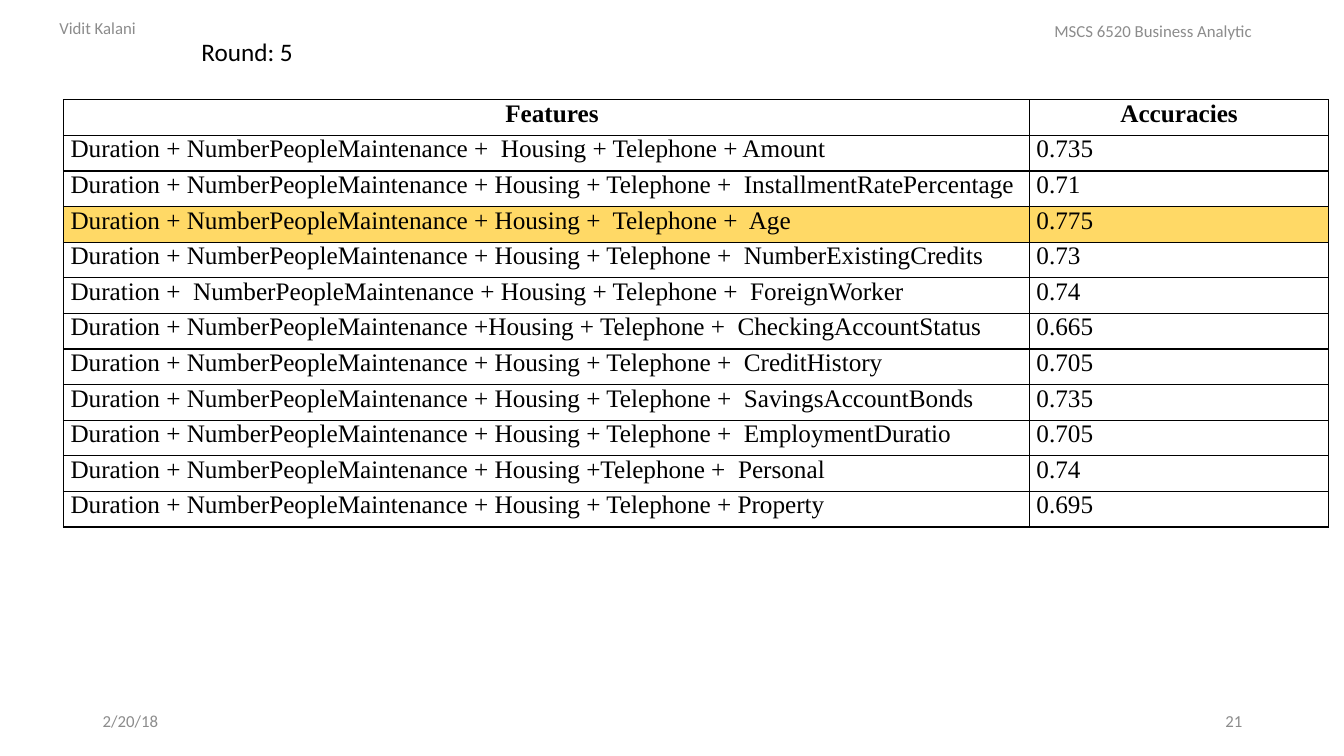
from lxml import etree
from pptx import Presentation
from pptx.dml.color import RGBColor
from pptx.enum.text import MSO_ANCHOR, PP_ALIGN
from pptx.oxml.ns import qn
from pptx.util import Inches, Pt

LEFT, CENTER, RIGHT = PP_ALIGN.LEFT, PP_ALIGN.CENTER, PP_ALIGN.RIGHT
TOP, MIDDLE = MSO_ANCHOR.TOP, MSO_ANCHOR.MIDDLE
SANS, SERIF = "Calibri", "Times New Roman"
BLACK, GRAY, GOLD = "000000", "8C8C8C", "FFD966"

WIDTH, HEIGHT = 13.33, 7.5
BAR = 0.4
FOOT = 6.95
COLS = (9.58, 2.97)
ROW = 4.24 / 12
BEST = "0.775"

ROUND = [
    ("Features", "Accuracies"),
    ("Duration + NumberPeopleMaintenance +  Housing + Telephone + Amount", "0.735"),
    ("Duration + NumberPeopleMaintenance + Housing + Telephone +  InstallmentRatePercentage", "0.71"),
    ("Duration + NumberPeopleMaintenance + Housing +  Telephone +  Age", BEST),
    ("Duration + NumberPeopleMaintenance + Housing + Telephone +  NumberExistingCredits", "0.73"),
    ("Duration +  NumberPeopleMaintenance + Housing + Telephone +  ForeignWorker", "0.74"),
    ("Duration + NumberPeopleMaintenance +Housing + Telephone +  CheckingAccountStatus", "0.665"),
    ("Duration + NumberPeopleMaintenance + Housing + Telephone +  CreditHistory", "0.705"),
    ("Duration + NumberPeopleMaintenance + Housing + Telephone +  SavingsAccountBonds", "0.735"),
    ("Duration + NumberPeopleMaintenance + Housing + Telephone +  EmploymentDuratio", "0.705"),
    ("Duration + NumberPeopleMaintenance + Housing +Telephone +  Personal", "0.74"),
    ("Duration + NumberPeopleMaintenance + Housing + Telephone + Property", "0.695"),
]


def color(code):
    return RGBColor.from_string(code)


def write(frame, text, size=18, font=SANS, ink=BLACK, bold=False, align=LEFT, after=0):
    para = frame.paragraphs[0]
    para.alignment = align
    para.space_after = Pt(after)
    run = para.add_run()
    run.text = text
    run.font.size, run.font.name, run.font.bold = Pt(size), font, bold
    run.font.color.rgb = color(ink)
    return para


def label(slide, text, left, top, width, anchor=MIDDLE, **style):
    box = slide.shapes.add_textbox(Inches(left), Inches(top), Inches(width), Inches(BAR))
    frame = box.text_frame
    frame.word_wrap = True
    frame.vertical_anchor = anchor
    write(frame, text, **style)


def border(cell):
    """Rule all four sides; the lines must come before the fill in the XML."""
    props = cell._tc.get_or_add_tcPr()
    for spot, side in enumerate(("a:lnL", "a:lnR", "a:lnT", "a:lnB")):
        line = etree.Element(qn(side), w=str(Pt(1)))
        fill = etree.SubElement(line, qn("a:solidFill"))
        etree.SubElement(fill, qn("a:srgbClr"), val=BLACK)
        props.insert(spot, line)


def grid(slide, rows, left, top):
    table = slide.shapes.add_table(
        len(rows), len(COLS), Inches(left), Inches(top),
        Inches(sum(COLS)), Inches(ROW * len(rows))).table
    table.horz_banding = False
    for col, width in zip(table.columns, COLS):
        col.width = Inches(width)
    for r, row in enumerate(rows):
        table.rows[r].height = Inches(ROW)
        head = r == 0
        for c, text in enumerate(row):
            cell = table.cell(r, c)
            cell.margin_left = cell.margin_right = Inches(0.07)
            cell.margin_top = cell.margin_bottom = 0
            para = write(cell.text_frame, text, font=SERIF, bold=head,
                         align=CENTER if head else LEFT, after=1.1)
            if head and c == 0:
                para._p.get_or_add_pPr().set("marL", str(Inches(0.11)))
            if BEST in row:
                cell.fill.solid()
                cell.fill.fore_color.rgb = color(GOLD)
            else:
                cell.fill.background()
            border(cell)


def main():
    deck = Presentation()
    deck.slide_width, deck.slide_height = Inches(WIDTH), Inches(HEIGHT)
    slide = deck.slides.add_slide(deck.slide_layouts[6])
    small = {"size": 12, "ink": GRAY}
    label(slide, "2/20/18", 0.92, FOOT, 3, **small)
    label(slide, "21", 9.42, FOOT, 3, align=RIGHT, **small)
    grid(slide, ROUND, 0.63, 0.99)
    label(slide, "Round: 5", 1.9, 0.31, 8.9, anchor=TOP)
    label(slide, "Vidit Kalani", 0.49, 0.08, 3, **small)
    label(slide, "MSCS 6520 Business Analytic", 10.36, 0.11, 3.14, **small)
    deck.save("out.pptx")


if __name__ == "__main__":
    main()
